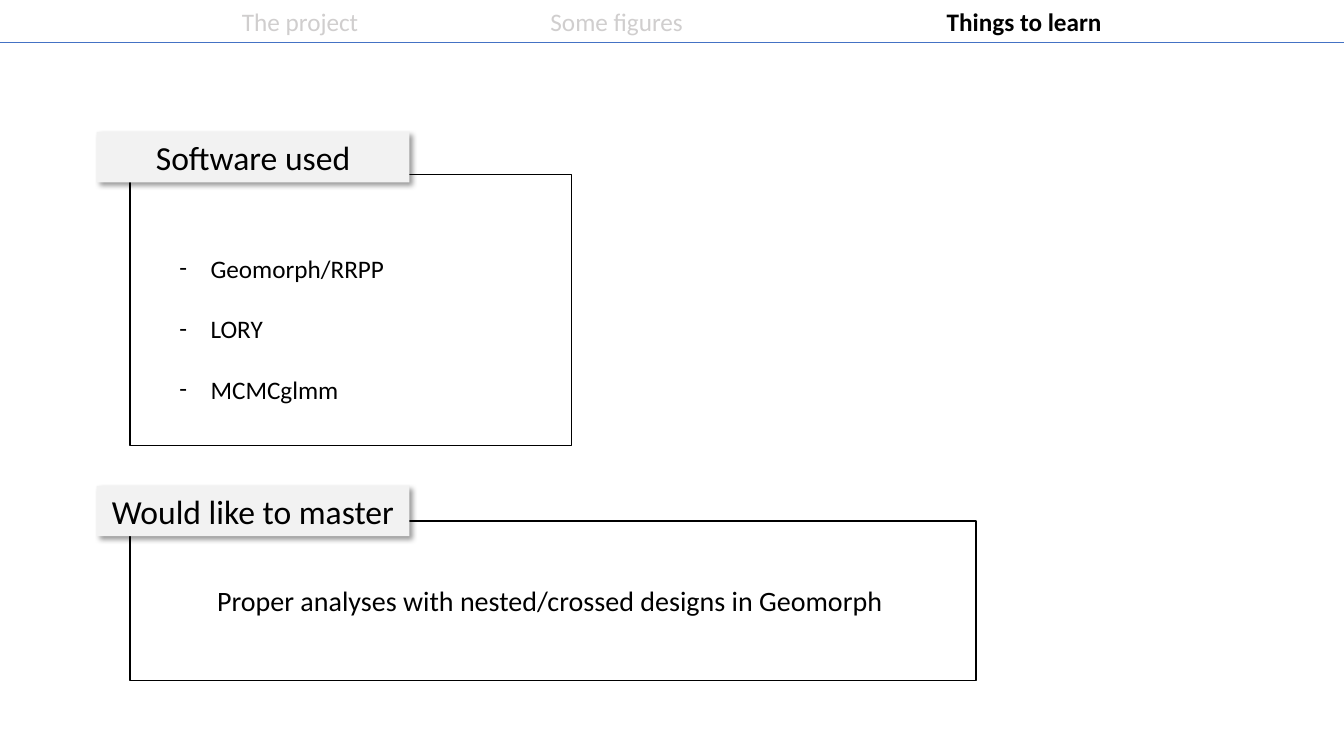
from typing import NamedTuple

from lxml.etree import SubElement
from pptx import Presentation
from pptx.dml.color import RGBColor
from pptx.enum.shapes import MSO_CONNECTOR as CONN, MSO_SHAPE as SHAPE
from pptx.enum.text import MSO_ANCHOR as ANCHOR, PP_ALIGN as ALIGN
from pptx.oxml.ns import qn
from pptx.util import Inches, Pt

FONT = "Calibri"
BLACK, WHITE, GREY, PALE, BLUE = "000000", "FFFFFF", "D0CECE", "F2F2F2", "4472C4"
FRAME_LEFT, LABEL_LEFT = 1.29, 0.96
LABEL_WIDTH, LABEL_HEIGHT = 3.1, 0.5


class Section(NamedTuple):
    title: str
    label_top: float
    frame_top: float
    frame_width: float
    frame_height: float
    statement: str = ""


SECTIONS = [
    Section("Software used", 1.31, 1.73, 4.38, 2.69),
    Section("Would like to master", 4.82, 5.17, 8.39, 1.58,
            "Proper analyses with nested/crossed designs in Geomorph "),
]
SOFTWARE = ["Geomorph/RRPP", "LORY", "MCMCglmm"]
NAV = ["The project", "Some figures", "Things to learn"]
NAV_LEFT = 2.4
NAV_TABS = [3.06, 6.99]  # measured from NAV_LEFT


def rgb(value: str) -> RGBColor:
    return RGBColor.from_string(value)


def style(r, size: float, color: str = BLACK, bold: bool = False) -> None:
    r.font.name, r.font.size, r.font.bold = FONT, Pt(size), bold
    r.font.color.rgb = rgb(color)


def add_box(slide, left: float, top: float, width: float, height: float,
            fill: str, line: str = ""):
    sp = slide.shapes.add_shape(SHAPE.RECTANGLE, Inches(left), Inches(top),
                                Inches(width), Inches(height))
    sp.shadow.inherit = False
    sp.fill.solid()
    sp.fill.fore_color.rgb = rgb(fill)
    if line:
        sp.line.color.rgb = rgb(line)
        sp.line.width = Pt(1)
    else:
        sp.line.fill.background()
    return sp


def set_centred_text(sp, text: str, size: float) -> None:
    tf = sp.text_frame
    tf.word_wrap = True
    tf.vertical_anchor = ANCHOR.MIDDLE
    p = tf.paragraphs[0]
    p.text = text
    p.alignment = ALIGN.CENTER
    style(p.runs[0], size)


def add_drop_shadow(sp) -> None:
    effects = sp._element.spPr.find(qn("a:effectLst"))
    shadow = SubElement(effects, qn("a:outerShdw"), blurRad=str(Pt(4)),
                        dist=str(Pt(3)), dir=str(45 * 60000), algn="tl", rotWithShape="0")
    color = SubElement(shadow, qn("a:srgbClr"), val=BLACK)
    SubElement(color, qn("a:alpha"), val="40000")


def add_section(slide, section: Section) -> None:
    frame = add_box(slide, FRAME_LEFT, section.frame_top, section.frame_width,
                    section.frame_height, WHITE, BLACK)
    if section.statement:
        set_centred_text(frame, section.statement, 20)
    label = add_box(slide, LABEL_LEFT, section.label_top, LABEL_WIDTH, LABEL_HEIGHT, PALE)
    add_drop_shadow(label)
    set_centred_text(label, section.title, 24)


def add_navigation(slide) -> None:
    tf = slide.shapes.add_textbox(0, Inches(0.01), Inches(13.33), Inches(0.4)).text_frame
    tf.word_wrap = True
    tf.margin_left = Inches(NAV_LEFT)
    p = tf.paragraphs[0]
    tabs = SubElement(p._p.get_or_add_pPr(), qn("a:tabLst"))
    for position in NAV_TABS:
        SubElement(tabs, qn("a:tab"), pos=str(Inches(position)), algn="l")
    p.text = "\t".join(NAV[:-1]) + "\t"
    style(p.runs[0], 18, GREY)
    current = p.add_run()
    current.text = NAV[-1]
    style(current, 18, bold=True)

    rule = slide.shapes.add_connector(CONN.STRAIGHT, 0, Inches(0.42),
                                      Inches(13.33), Inches(0.42))
    rule.line.color.rgb = rgb(BLUE)
    rule.line.width = Pt(0.5)
    SubElement(rule._element.spPr, qn("a:effectLst"))


def add_software_list(slide) -> None:
    tf = slide.shapes.add_textbox(Inches(1.68), Inches(2.16),
                                  Inches(3.29), Inches(1.83)).text_frame
    tf.word_wrap = True
    tf.text = "\n".join(SOFTWARE)
    for p in tf.paragraphs:
        p.line_spacing = 2.0
        pPr = p._p.get_or_add_pPr()
        pPr.set("marL", str(Inches(0.31)))
        pPr.set("indent", str(-Inches(0.31)))
        SubElement(pPr, qn("a:buFont"), typeface=FONT)
        SubElement(pPr, qn("a:buChar"), char="-")
        style(p.runs[0], 18)


def main() -> None:
    prs = Presentation()
    prs.slide_width, prs.slide_height = Inches(13.33), Inches(7.5)
    slide = prs.slides.add_slide(prs.slide_layouts[6])

    # Header
    add_navigation(slide)

    # Framed sections with raised labels
    for section in SECTIONS:
        add_section(slide, section)
    add_software_list(slide)

    prs.save("out.pptx")


if __name__ == "__main__":
    main()
